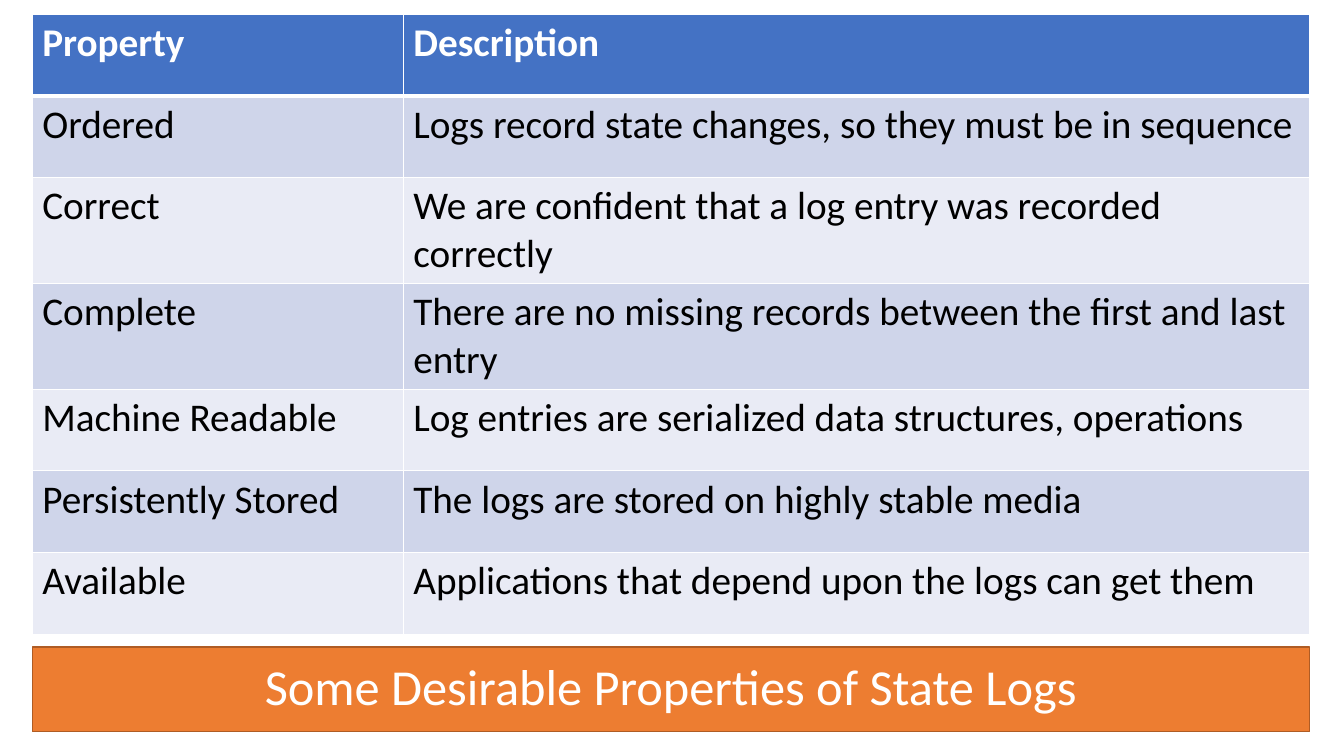
from lxml.etree import SubElement
from pptx import Presentation
from pptx.dml.color import RGBColor
from pptx.enum.text import MSO_ANCHOR, MSO_AUTO_SIZE, PP_ALIGN
from pptx.oxml.ns import qn
from pptx.util import Inches, Pt

PROPERTIES = [
    ("Property", "Description"),
    ("Ordered", "Logs record state changes, so they must be in sequence"),
    ("Correct", "We are confident that a log entry was recorded correctly"),
    ("Complete", "There are no missing records between the first and last entry"),
    ("Machine Readable", "Log entries are serialized data structures, operations"),
    ("Persistently Stored", "The logs are stored on highly stable media"),
    ("Available", "Applications that depend upon the logs can get them"),
]
COLUMN_WIDTHS = [3.68, 8.99]
ROW_HEIGHTS = [0.81, 0.81, 0.94, 0.81, 0.81, 0.81, 0.81]


def color(hex_code):
    return RGBColor.from_string(hex_code)


class LogSlide:
    """Holds the shared style and the current slide."""

    font = "Calibri"
    white, black = "FFFFFF", "000000"
    orange, brown = "ED7D31", "AF5C24"
    header_blue = "4472C4"
    bands = ["CFD5EA", "E9EBF5"]

    def __init__(self, deck):
        self.slide = deck.slides.add_slide(deck.slide_layouts[5])

    def add_run(self, paragraph, text, size, ink, bold=False):
        run = paragraph.add_run()
        run.text = text
        run.font.name = self.font
        run.font.size = Pt(size)
        run.font.bold = bold
        run.font.color.rgb = color(ink)

    def title(self, text, left, top, width, height):
        banner = self.slide.shapes.title
        banner.left, banner.top = Inches(left), Inches(top)
        banner.width, banner.height = Inches(width), Inches(height)
        banner.fill.solid()
        banner.fill.fore_color.rgb = color(self.orange)
        banner.line.color.rgb = color(self.brown)
        banner.line.width = Pt(1)
        frame = banner.text_frame
        frame.word_wrap = True
        frame.auto_size = MSO_AUTO_SIZE.NONE
        frame.vertical_anchor = MSO_ANCHOR.MIDDLE
        paragraph = frame.paragraphs[0]
        paragraph.alignment = PP_ALIGN.CENTER
        paragraph.line_spacing = 0.9
        self.add_run(paragraph, text, 36, self.white)

    def border(self, cell, side, points):
        edge = SubElement(cell._tc.get_or_add_tcPr(), qn(f"a:ln{side}"), w=str(Pt(points)))
        fill = SubElement(edge, qn("a:solidFill"))
        SubElement(fill, qn("a:srgbClr"), val=self.white)

    def cell(self, cell, text, row):
        header = row == 0
        # Borders come before the fill in the cell properties
        for side in "LRTB":
            thick = (header and side == "B") or (row == 1 and side == "T")
            self.border(cell, side, 3 if thick else 1)
        cell.fill.solid()
        cell.fill.fore_color.rgb = color(self.header_blue if header else self.bands[(row - 1) % 2])
        ink = self.white if header else self.black
        self.add_run(cell.text_frame.paragraphs[0], text, 28, ink, bold=header)

    def table(self, rows, widths, heights, left, top, height):
        frame = self.slide.shapes.add_table(
            len(rows), len(widths), Inches(left), Inches(top),
            Inches(sum(widths)), Inches(height))
        grid = frame.table
        for column, width in zip(grid.columns, widths):
            column.width = Inches(width)
        for row, row_height in zip(grid.rows, heights):
            row.height = Inches(row_height)
        frame.height = Inches(height)
        for r, texts in enumerate(rows):
            for c, text in enumerate(texts):
                self.cell(grid.cell(r, c), text, r)


def main():
    deck = Presentation()
    deck.slide_width, deck.slide_height = Inches(13.33), Inches(7.5)
    slide = LogSlide(deck)

    # Title banner along the bottom
    slide.title("Some Desirable Properties of State Logs", 0.32, 6.42, 12.67, 0.84)

    # Table of properties
    slide.table(PROPERTIES, COLUMN_WIDTHS, ROW_HEIGHTS, 0.32, 0.14, 6.13)

    deck.save("out.pptx")


if __name__ == "__main__":
    main()
